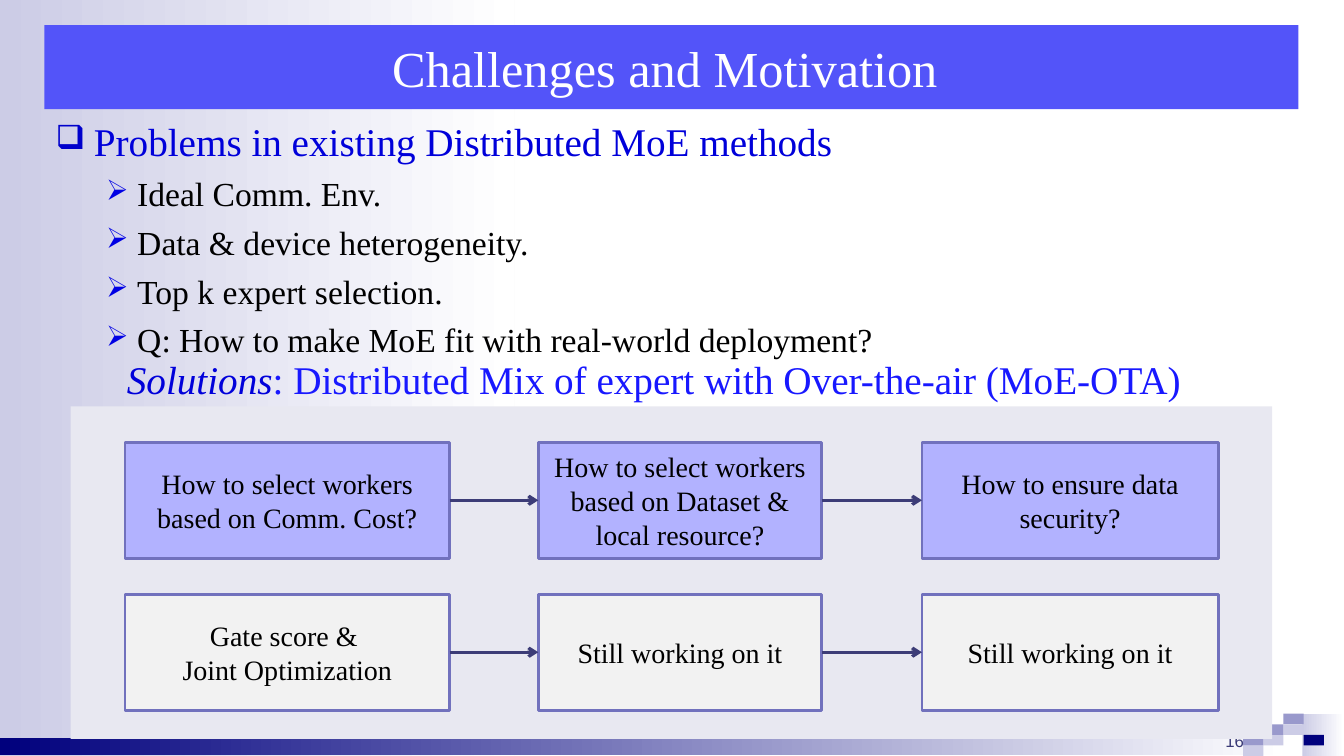
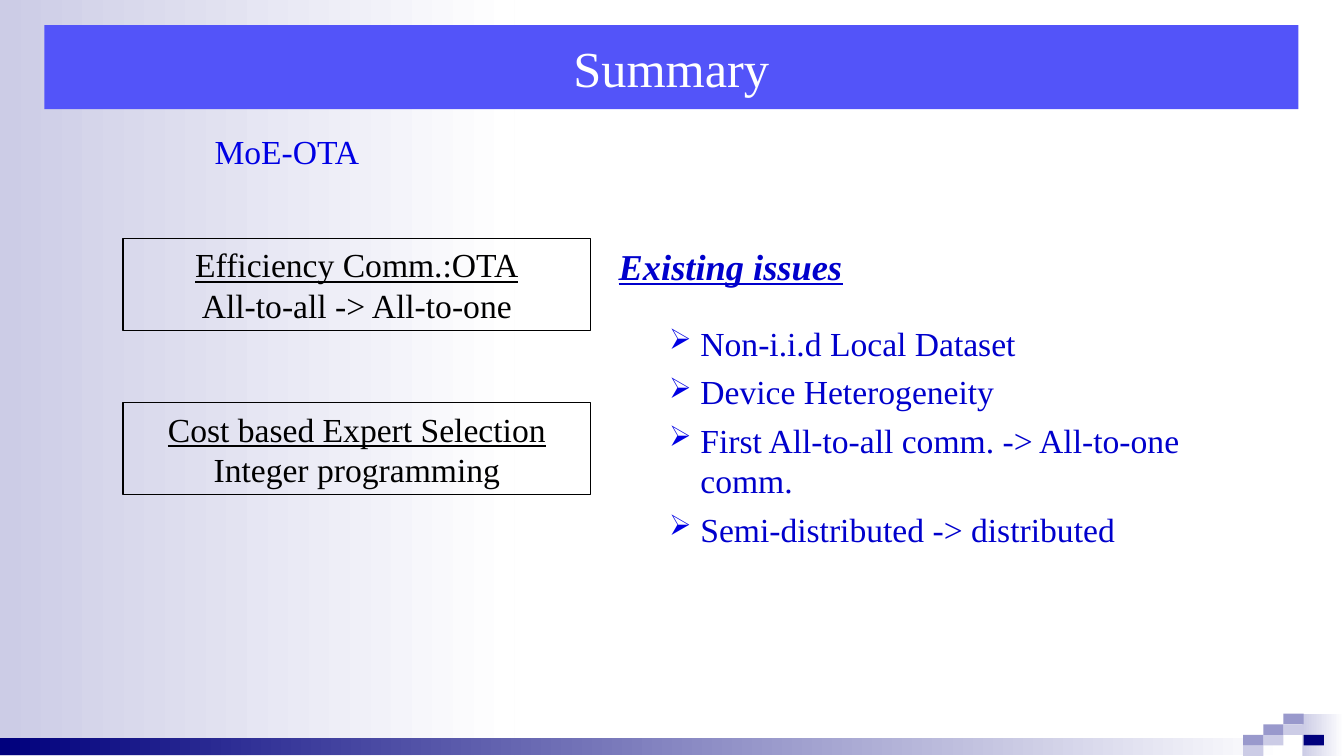
import pptx
import pptx.util
import pptx.dml.color
import pptx.enum.shapes
import pptx.enum.text
import pptx.oxml.ns
import lxml.etree

WIDE = pptx.util.Inches(13.333)
HIGH = pptx.util.Inches(7.5)
RECT = pptx.enum.shapes.MSO_SHAPE.RECTANGLE
LINE = pptx.enum.shapes.MSO_CONNECTOR.STRAIGHT
ALIGN = pptx.enum.text.PP_ALIGN
ANCHOR = pptx.enum.text.MSO_ANCHOR
Pt = pptx.util.Pt

NAVY, PALE, MID, WHITE, BLACK = "00007D", "CCCCE6", "9999CC", "FFFFFF", "000000"
BLUE, DEEP, LINK, BRIGHT = "0000DA", "0000CC", "0000E4", "1818FF"
BAND, PANEL, LILAC, GREY = "5354F9", "E8E8F1", "B2B2FF", "F2F2F2"
EDGE, ARROW, PAGE = "7171BD", "3C3C77", "3B3B77"

TILES = [
    (1, 2, PALE), (0, 3, PALE), (0, 2, MID), (2, 1, PALE),
    (3, 2, NAVY), (1, 1, MID), (2, 0, MID),
]
COLS = [(9.3, 24.15), (40.05, 21.1), (68.6, 22.05)]
STEPS = [
    (58.5, LILAC, [
        ["How to select workers based on Comm. Cost?"],
        ["How to select workers based on Dataset & local resource?"],
        ["How to ensure data security?"],
    ]),
    (78.6, GREY, [
        ["Gate score & ", "Joint Optimization"],
        ["Still working on it"],
        ["Still working on it"],
    ]),
]
PROBLEMS = [
    "Ideal Comm. Env.",
    "Data & device heterogeneity.",
    "Top k expert selection.",
    "Q: How to make MoE fit with real-world deployment?",
]
ISSUES = [
    "Non-i.i.d Local Dataset",
    "Device Heterogeneity",
    "First All-to-all comm. -> All-to-one comm.",
    "Semi-distributed -> distributed",
]
METHODS = [
    (31.6, "Efficiency Comm.:OTA", "All-to-all -> All-to-one"),
    (53.3, "Cost based Expert Selection", "Integer programming"),
]


def ink(code):
    return pptx.dml.color.RGBColor.from_string(code)


def area(x, y, w, h):
    return [int(n) for n in (WIDE * x / 100, HIGH * y / 100, WIDE * w / 100, HIGH * h / 100)]


def apply(item, look):
    for key, value in look.items():
        setattr(item, key, value)


def style(size, color=BLACK, name="Times New Roman", **more):
    return {"size": Pt(size), "name": name, "color": color, **more}


def para(*runs, mark=None, **look):
    return runs, mark, look


def bullet(line, sign, color, left, hang):
    props = line._p.get_or_add_pPr()
    props.set("marL", str(pptx.util.Inches(left)))
    props.set("indent", str(-pptx.util.Inches(hang)))
    tint = pptx.oxml.ns.qn("a:buClr")
    tint = lxml.etree.SubElement(props, tint)
    lxml.etree.SubElement(tint, pptx.oxml.ns.qn("a:srgbClr"), val=color)
    lxml.etree.SubElement(props, pptx.oxml.ns.qn("a:buSzPct"), val="85000")
    lxml.etree.SubElement(props, pptx.oxml.ns.qn("a:buChar"), char=sign)


def write(shape, paras, anchor=ANCHOR.TOP):
    frame = shape.text_frame
    apply(frame, {
        "word_wrap": True,
        "auto_size": pptx.enum.text.MSO_AUTO_SIZE.NONE,
        "vertical_anchor": anchor,
    })
    for n, (runs, mark, look) in enumerate(paras):
        line = frame.add_paragraph() if n else frame.paragraphs[0]
        if mark:
            bullet(line, *mark)
        apply(line, look)
        for text, form in runs:
            run = line.add_run()
            run.text = text
            run.font.color.rgb = ink(form["color"])
            apply(run.font, {k: v for k, v in form.items() if k != "color"})


def box(slide, spot, fill=None, edge=None, width=0):
    shape = slide.shapes.add_shape(RECT, *area(*spot))
    shape.shadow.inherit = False
    if fill:
        shape.fill.solid()
        shape.fill.fore_color.rgb = ink(fill)
    else:
        shape.fill.background()
    if edge:
        shape.line.color.rgb = ink(edge)
        shape.line.width = Pt(width)
    else:
        shape.line.fill.background()
    return shape


def fade(slide, spot, start):
    shape = box(slide, spot)
    shape.fill.gradient()
    shape.fill.gradient_angle = 0
    for stop, code in zip(shape.fill.gradient_stops, (start, WHITE)):
        stop.color.rgb = ink(code)
    return shape


def label(slide, spot, paras, anchor=ANCHOR.TOP):
    write(slide.shapes.add_textbox(*area(*spot)), paras, anchor)


def arrow(slide, tail, head):
    link = slide.shapes.add_connector(LINE, 0, 0, 0, 0)
    link.begin_connect(tail, 3)
    link.end_connect(head, 1)
    link.line.color.rgb = ink(ARROW)
    link.line.width = Pt(2.25)
    outline = link.line._get_or_add_ln()
    lxml.etree.SubElement(outline, pptx.oxml.ns.qn("a:tailEnd"), type="arrow")
    lxml.etree.SubElement(link.element.spPr, pptx.oxml.ns.qn("a:effectLst"))


def decor(slide, layout):
    parts = [
        fade(slide, (0, 0, 38.3, 100), PALE),
        fade(slide, (96.9, 94.5, 3.1, 5.5), PALE),
        fade(slide, (0, 97.6, 95.5, 2.3), NAVY),
    ]
    for col, row, color in TILES:
        parts.append(box(slide, (92.5 + 1.5 * col, 94.4 + 1.4 * row, 1.5, 1.4), color))
    for n, part in enumerate(parts):
        part.element.nvSpPr.cNvPr.set("id", str(20 + n))
        layout.shapes.element.append(part.element)


def head(slide, text):
    title = slide.shapes.title
    apply(title, dict(zip(("left", "top", "width", "height"), area(3.3, 3.33, 93.3, 11.1))))
    title.fill.solid()
    title.fill.fore_color.rgb = ink(BAND)
    write(title, [para((text, style(36, WHITE)), alignment=ALIGN.CENTER)], ANCHOR.MIDDLE)


def items(texts, color, first):
    return [
        para((text, style(24, color)), mark=("➢", LINK, 0.81, 0.31),
             level=1, space_before=Pt(6 if n else first))
        for n, text in enumerate(texts)
    ]


def flow(slide):
    for top, fill, cells in STEPS:
        last = None
        for (left, width), lines in zip(COLS, cells):
            step = box(slide, (left, top, width, 15.35), fill, EDGE, 2)
            write(step, [para((t, style(20)), alignment=ALIGN.CENTER) for t in lines],
                  ANCHOR.MIDDLE)
            if last:
                arrow(slide, last, step)
            last = step


def motive(slide):
    head(slide, "Challenges and Motivation ")
    topic = para(("Problems in existing Distributed MoE methods", style(28, BLUE)),
                 mark=("❑", DEEP, 0.38, 0.38))
    label(slide, (3.4, 14.9, 90, 34), [topic] + items(PROBLEMS, BLACK, 6))
    label(slide, (70, 93.3, 23.3, 6.7),
          [para(("16", style(12, PAGE, "Arial")), alignment=ALIGN.RIGHT)], ANCHOR.BOTTOM)
    box(slide, (5.25, 53.75, 89.4, 44), PANEL)
    label(slide, (3.3, 46.4, 90.7, 7.6), [para(
        ("Solutions", style(28, BLUE, italic=True)),
        (": Distributed Mix of expert with Over-the-air (MoE-OTA)", style(28, BRIGHT)),
        alignment=ALIGN.CENTER)])
    flow(slide)


def recap(slide):
    head(slide, "Summary")
    topic = para(("Existing issues",
                  style(26, DEEP, bold=True, italic=True, underline=True)))
    label(slide, (45.3, 31.6, 49.6, 52), [topic] + items(ISSUES, DEEP, 25))
    for top, name, note in METHODS:
        write(box(slide, (9.15, top, 34.8, 12.1), None, BLACK, 0.75), [
            para((name, style(24, underline=True)), alignment=ALIGN.CENTER),
            para((note, style(24)), alignment=ALIGN.CENTER),
        ], ANCHOR.MIDDLE)
    label(slide, (4.9, 16.7, 32.9, 6.7),
          [para(("MoE-OTA", style(24, LINK)), alignment=ALIGN.CENTER)])


def main():
    deck = pptx.Presentation()
    apply(deck, {"slide_width": WIDE, "slide_height": HIGH})
    layout = deck.slide_layouts[5]
    slides = [deck.slides.add_slide(layout) for _ in range(2)]
    decor(slides[0], layout)
    for slide, fill in zip(slides, (motive, recap)):
        fill(slide)
    deck.save("out.pptx")


if __name__ == "__main__":
    main()
